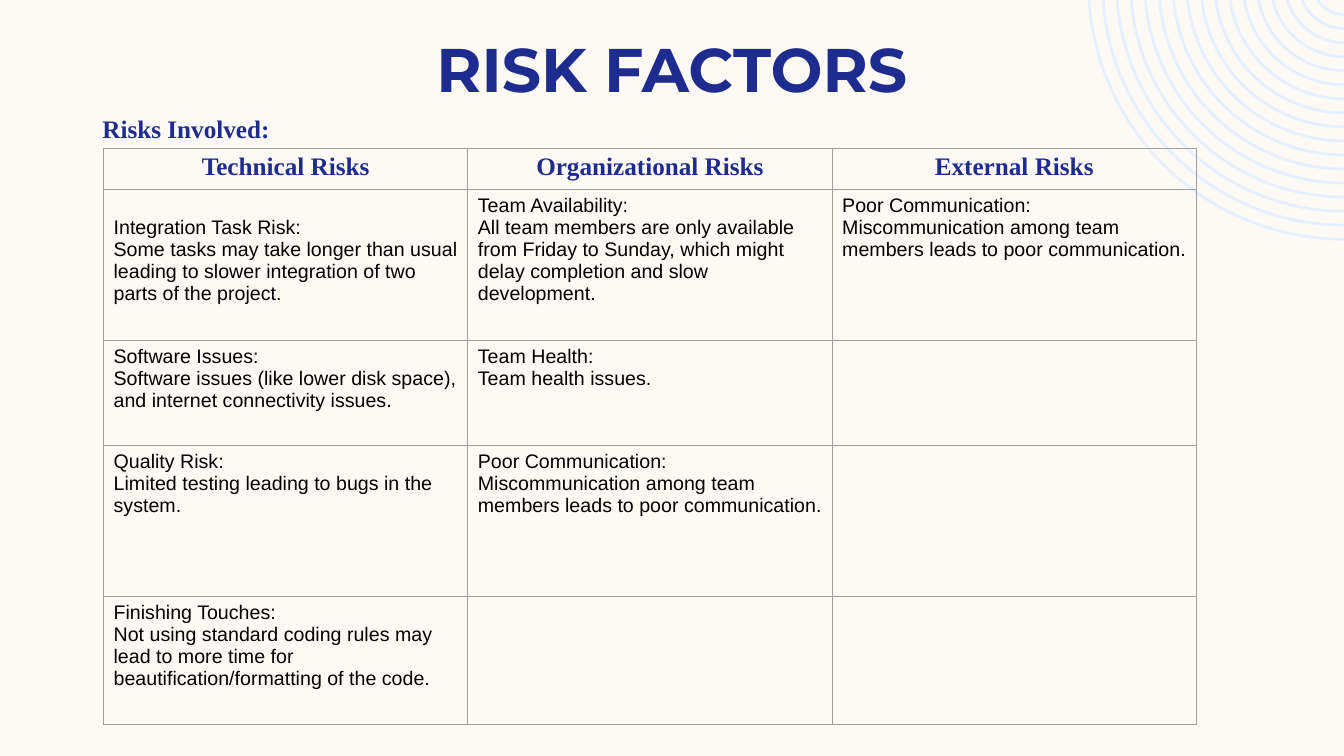
from math import asin, cos, degrees, sin

from lxml.etree import SubElement
from pptx import Presentation
from pptx.dml.color import RGBColor
from pptx.enum.text import MSO_ANCHOR, PP_ALIGN
from pptx.oxml.ns import qn
from pptx.util import Cm, Pt

COLORS = {
    "background": "FDFAF6",
    "rings": "E6F0FE",
    "heading": "1F2C8F",
    "body": "000000",
    "border": "9E9E9E",
}


def write_text(frame, text, font="Arial", size=14, color="body", bold=False, align=PP_ALIGN.LEFT):
    frame.word_wrap = True
    for index, line in enumerate(text.split("\n")):
        paragraph = frame.add_paragraph() if index else frame.paragraphs[0]
        paragraph.alignment = align
        run = paragraph.add_run()
        run.text = line
        run.font.name = font
        run.font.size = Pt(size)
        run.font.bold = bold
        run.font.color.rgb = RGBColor.from_string(COLORS[color])


def draw_borders(cell):
    properties = cell._tc.get_or_add_tcPr()
    for side in ("a:lnL", "a:lnR", "a:lnT", "a:lnB"):
        line = SubElement(properties, qn(side), w=str(Pt(0.75)))
        fill = SubElement(line, qn("a:solidFill"))
        SubElement(fill, qn("a:srgbClr"), val=COLORS["border"])


presentation = Presentation()
presentation.slide_width = Cm(33.87)
presentation.slide_height = Cm(19.05)
slide = presentation.slides.add_slide(presentation.slide_layouts[6])
slide.background.fill.solid()
slide.background.fill.fore_color.rgb = RGBColor.from_string(COLORS["background"])

center_x, center_y = 33.87, -0.41
ring_count, ring_step, ring_width = 17, 0.354, 0.07
smallest = 0.81
largest = smallest + (ring_count - 1) * ring_step
rings_left = center_x - largest * cos(asin(-center_y / largest))
rings_bottom = center_y + largest

builder = slide.shapes.build_freeform(Cm(rings_left), 0)
builder.add_line_segments([(Cm(center_x), 0), (Cm(center_x), Cm(rings_bottom))])
rings = builder.convert_to_shape()
rings.shadow.inherit = False
rings.fill.solid()
rings.fill.fore_color.rgb = RGBColor.from_string(COLORS["rings"])
rings.line.fill.background()

outline = rings._element.find(".//" + qn("a:path"))
for command in list(outline):
    outline.remove(command)
for ring in range(ring_count):
    outer = smallest + ring * ring_step
    inner = outer - ring_width
    outer_tilt, inner_tilt = asin(-center_y / outer), asin(-center_y / inner)
    outer_sweep, inner_sweep = 90 - degrees(outer_tilt), 90 - degrees(inner_tilt)
    arcs = [
        ("a:moveTo", center_x - outer * cos(outer_tilt), center_y + outer * sin(outer_tilt),
         outer, 90 + outer_sweep, -outer_sweep),
        ("a:lnTo", center_x, center_y + inner, inner, 90, inner_sweep),
    ]
    for tag, x, y, radius, start, sweep in arcs:
        SubElement(SubElement(outline, qn(tag)), qn("a:pt"),
                   x=str(Cm(x) - Cm(rings_left)), y=str(Cm(y)))
        SubElement(outline, qn("a:arcTo"), wR=str(Cm(radius)), hR=str(Cm(radius)),
                   stAng=str(round(start * 60000)), swAng=str(round(sweep * 60000)))
    SubElement(outline, qn("a:close"))

title = slide.shapes.add_textbox(Cm(2.12), Cm(0.64), Cm(29.63), Cm(2.13))
title.text_frame.vertical_anchor = MSO_ANCHOR.MIDDLE
write_text(title.text_frame, "RISK FACTORS", font="Montserrat", size=44,
           color="heading", bold=True, align=PP_ALIGN.CENTER)

subtitle = slide.shapes.add_textbox(Cm(2.12), Cm(2.72), Cm(28.4), Cm(1.02))
subtitle.text_frame.margin_left = Cm(0.46)
write_text(subtitle.text_frame, "Risks Involved:", font="Times New Roman", size=18,
           color="heading", bold=True)

rows = [
    ["Technical Risks", "Organizational Risks", "External Risks"],
    [
        "Integration Task Risk:\nSome tasks may take longer than usual leading to slower "
        "integration of two parts of the project.",
        "Team Availability:\nAll team members are only available from Friday to Sunday, "
        "which might delay completion and slow development.",
        "Poor Communication:\nMiscommunication among team members leads to poor communication.",
    ],
    [
        "Software Issues:\nSoftware issues (like lower disk space), and internet connectivity issues.",
        "Team Health:\nTeam health issues.",
        "",
    ],
    [
        "Quality Risk:\nLimited testing leading to bugs in the system.",
        "Poor Communication:\nMiscommunication among team members leads to poor communication.",
        "",
    ],
    [
        "Finishing Touches:\nNot using standard coding rules may lead to more time for "
        "beautification/formatting of the code.",
        "",
        "",
    ],
]
row_heights = [1.04, 3.8, 2.65, 3.8, 3.23]
column_width = 9.18

table = slide.shapes.add_table(len(rows), 3, Cm(2.61), Cm(3.74),
                               Cm(3 * column_width), Cm(sum(row_heights))).table
table.first_row = False
table.horz_banding = False
for column in table.columns:
    column.width = Cm(column_width)
for row_index, texts in enumerate(rows):
    table.rows[row_index].height = Cm(row_heights[row_index])
    for column_index, text in enumerate(texts):
        cell = table.cell(row_index, column_index)
        draw_borders(cell)
        cell.fill.background()
        if row_index == 0:
            write_text(cell.text_frame, text, font="Times New Roman", size=18,
                       color="heading", bold=True, align=PP_ALIGN.CENTER)
        elif text:
            write_text(cell.text_frame, text)
table.cell(1, 0).margin_top = Cm(0.68)

presentation.save("out.pptx")
